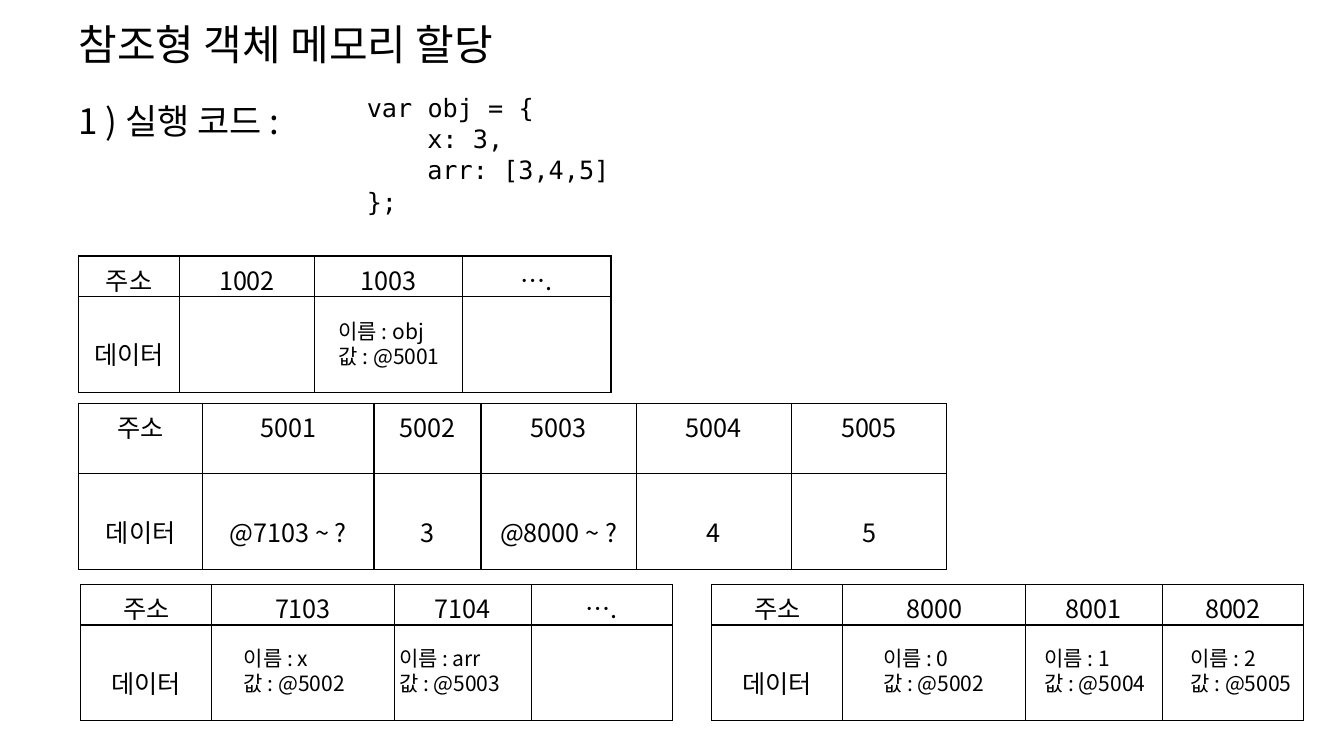
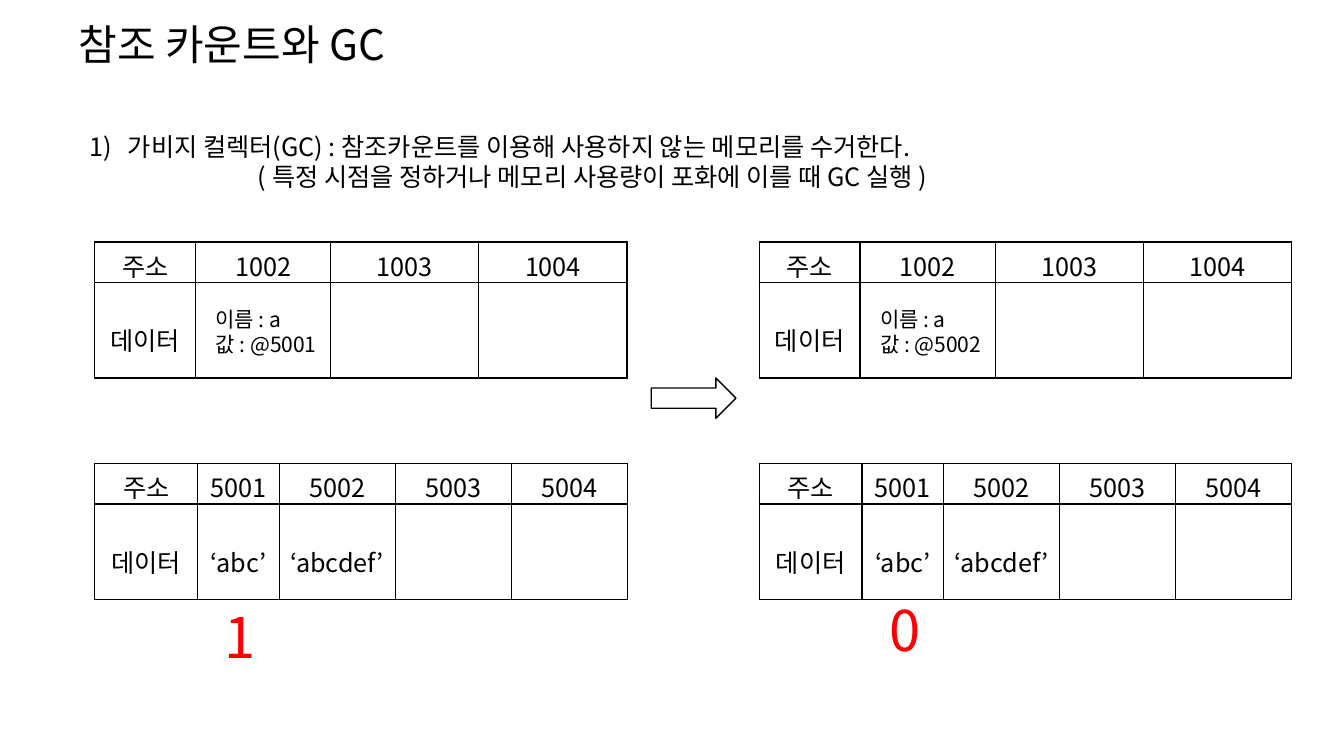
from dataclasses import dataclass

from pptx import Presentation, util as u
from pptx.dml.color import RGBColor
from pptx.enum import shapes, text
from pptx.oxml.ns import qn
from lxml import etree

I = u.Inches


@dataclass(frozen=True)
class Theme:
    """Colours, fonts, type sizes and line width of the deck."""
    ink: str = "000000"
    paper: str = "FFFFFF"
    alert: str = "FF0000"
    font: str = "Noto Sans CJK KR"
    mono: str = "DejaVu Sans Mono"
    title: int = 30
    lead: int = 25
    body: int = 18
    note: int = 15
    count: int = 40
    line: float = 1


class Deck:
    """Holds the style and the current slide."""

    def __init__(self, theme):
        """Start an empty widescreen deck."""
        self.t = theme
        self.prs = Presentation()
        self.prs.slide_width, self.prs.slide_height = I(13.33), I(7.5)
        self.s = None

    def apply(self, obj, formats):
        """Set attributes from a dict of format values."""
        for name, value in formats.items():
            setattr(obj, name, value)

    def run(self, p, words, size, color=None, font=None):
        """Add one styled run to a paragraph."""
        r = p.add_run()
        r.text = words
        face = font or self.t.font
        self.apply(r.font, {"size": u.Pt(size), "name": face, "bold": False})
        r.font.color.rgb = RGBColor.from_string(color or self.t.ink)
        etree.SubElement(r._r.get_or_add_rPr(), qn("a:ea"), typeface=face)

    def indent(self, p, left, hanging=0, number=None):
        """Indent a paragraph and number it if asked."""
        pPr = p._p.get_or_add_pPr()
        pPr.set("marL", str(I(left)))
        pPr.set("indent", str(-I(hanging)))
        if number:
            etree.SubElement(pPr, qn("a:buFont"), typeface=self.t.font)
            etree.SubElement(pPr, qn("a:buAutoNum"), type=number)

    def slide(self, title):
        """Add a title-only slide."""
        self.s = self.prs.slides.add_slide(self.prs.slide_layouts[5])
        sp = self.s.shapes.title
        self.apply(sp, {"left": I(0.68), "top": I(0.13), "width": I(5.74), "height": I(0.61)})
        tf = sp.text_frame
        self.apply(tf, {"vertical_anchor": text.MSO_ANCHOR.TOP, "word_wrap": True,
                        "auto_size": text.MSO_AUTO_SIZE.NONE})
        p = tf.paragraphs[0]
        p.alignment = text.PP_ALIGN.LEFT
        self.run(p, title, self.t.title)

    def label(self, left, top, width, height, lines, size, **style):
        """Add a text box with one paragraph a line and return its paragraphs."""
        tf = self.s.shapes.add_textbox(I(left), I(top), I(width), I(height)).text_frame
        tf.word_wrap = True
        for i, line in enumerate(lines):
            p = tf.add_paragraph() if i else tf.paragraphs[0]
            self.run(p, line, size, **style)
        return tf.paragraphs

    def note(self, left, top, name, value):
        """Add the name and value stored in a memory cell."""
        self.label(left, top, 1.89, 0.61, [f"이름 : {name}", f"값 : {value}"], self.t.note)

    def border(self, cell):
        """Draw the four borders of a cell."""
        tcPr = cell._tc.get_or_add_tcPr()
        for i, side in enumerate(("lnL", "lnR", "lnT", "lnB")):
            ln = etree.Element(qn(f"a:{side}"), w=str(u.Pt(self.t.line)))
            fill = etree.SubElement(ln, qn("a:solidFill"))
            etree.SubElement(fill, qn("a:srgbClr"), val=self.t.ink)
            tcPr.insert(i, ln)

    def memory(self, left, top, widths, addresses, data=(), head=0.4):
        """Add a memory table of addresses over data."""
        blanks = [""] * (len(addresses) - len(data))
        rows = [["주소", *addresses], ["데이터", *data, *blanks]]
        heights = [head, 0.95]
        tbl = self.s.shapes.add_table(2, len(widths), I(left), I(top),
                                      I(sum(widths)), I(sum(heights))).table
        self.apply(tbl, {"first_row": False, "horz_banding": False})
        for col, width in zip(tbl.columns, widths):
            col.width = I(width)
        for i, (row, height, inset) in enumerate(zip(rows, heights, (0.05, 0.39))):
            tbl.rows[i].height = I(height)
            for j, words in enumerate(row):
                cell = tbl.cell(i, j)
                cell.margin_top = I(inset)
                cell.fill.solid()
                cell.fill.fore_color.rgb = RGBColor.from_string(self.t.paper)
                self.border(cell)
                p = cell.text_frame.paragraphs[0]
                p.alignment = text.PP_ALIGN.CENTER
                if words:
                    self.run(p, words, self.t.body)

    def arrow(self, left, top, width, height):
        """Add an outlined right arrow."""
        sp = self.s.shapes.add_shape(shapes.MSO_SHAPE.RIGHT_ARROW,
                                     I(left), I(top), I(width), I(height))
        sp.shadow.inherit = False
        sp.fill.solid()
        sp.fill.fore_color.rgb = RGBColor.from_string(self.t.paper)
        sp.line.color.rgb = RGBColor.from_string(self.t.ink)
        sp.line.width = u.Pt(self.t.line)


def allocation(d):
    """Build the slide on memory allocation of reference objects."""
    d.slide("참조형 객체 메모리 할당")
    code = d.label(3.54, 0.85, 6.67, 1.62,
                   ["var obj = {", "x: 3,", "arr: [3,4,5]", "};"], d.t.body, font=d.t.mono)
    for p in code:
        p.line_spacing = 1.04
    for p in code[1:3]:
        d.indent(p, 0.6)
    d.label(0.68, 0.94, 2.43, 0.52, ["1 ) 실행 코드 :"], d.t.lead)
    d.memory(0.78, 2.54, [1, 1.34, 1.47, 1.47], ["1002", "1003", "…."])
    d.memory(0.78, 4, [1.23, 1.7, 1.06, 1.54, 1.54, 1.54],
             ["5001", "5002", "5003", "5004", "5005"],
             ["@7103 ~ ?", "3", "@8000 ~ ?", "4", "5"], head=0.7)
    for left, addresses in ((0.8, ["7103", "7104", "…."]), (7.06, ["8000", "8001", "8002"])):
        d.memory(left, 5.8, [1.3, 1.81, 1.36, 1.4], addresses)
    d.note(3.26, 3.11, "obj", "@5001")
    for left, name, value in ((2.32, "x", "@5002"), (3.86, "arr", "@5003"),
                              (8.66, "0", "@5002"), (10.26, "1", "@5004"),
                              (11.71, "2", "@5005")):
        d.note(left, 6.35, name, value)


def collection(d):
    """Build the slide on reference counts and garbage collection."""
    d.slide("참조 카운트와 GC")
    rule, timing = d.label(
        0.79, 1.25, 11.88, 0.71,
        ["가비지 컬렉터(GC) : 참조카운트를 이용해 사용하지 않는 메모리를 수거한다.",
         "( 특정 시점을 정하거나 메모리 사용량이 포화에 이를 때 GC 실행 )"], d.t.body)
    d.indent(rule, 0.38, 0.38, "arabicParenR")
    d.indent(timing, 1.67)
    for left, value, count, top in ((0.94, "@5001", "1", 5.93), (7.53, "@5002", "0", 5.86)):
        d.memory(left, 2.4, [1, 1.34, 1.47, 1.47], ["1002", "1003", "1004"])
        d.note(left + 1.1, 2.99, "a", value)
        d.memory(left, 4.6, [1.02, 0.81, 1.15, 1.15, 1.15],
                 ["5001", "5002", "5003", "5004"], ["‘abc’", "‘abcdef’"])
        d.label(left + 1.19, top, 0.45, 0.77, [count], d.t.count, color=d.t.alert)
    d.arrow(6.46, 3.75, 0.84, 0.4)


def main():
    """Build and save the deck."""
    d = Deck(Theme())
    allocation(d)
    collection(d)
    d.prs.save("out.pptx")


if __name__ == "__main__":
    main()
